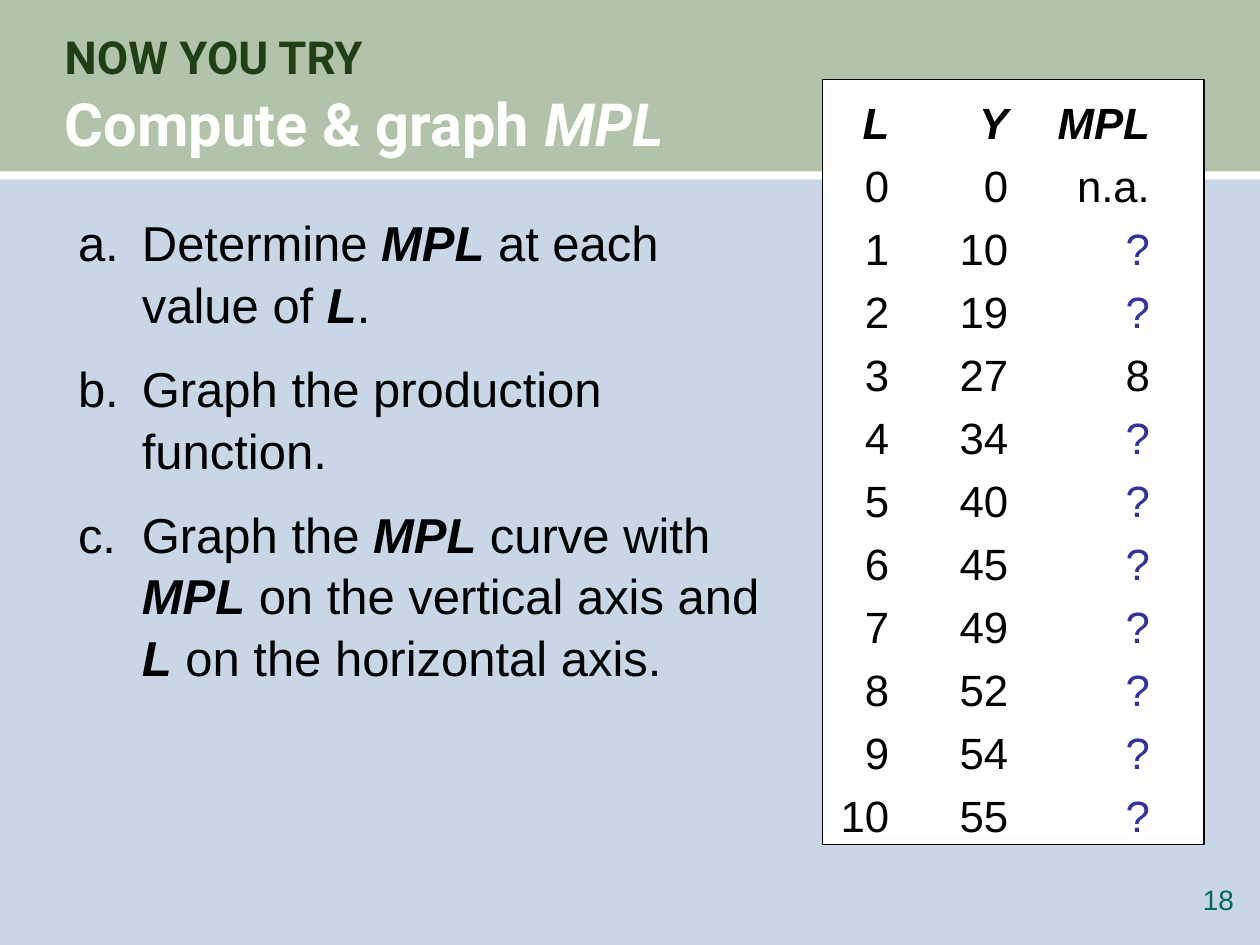
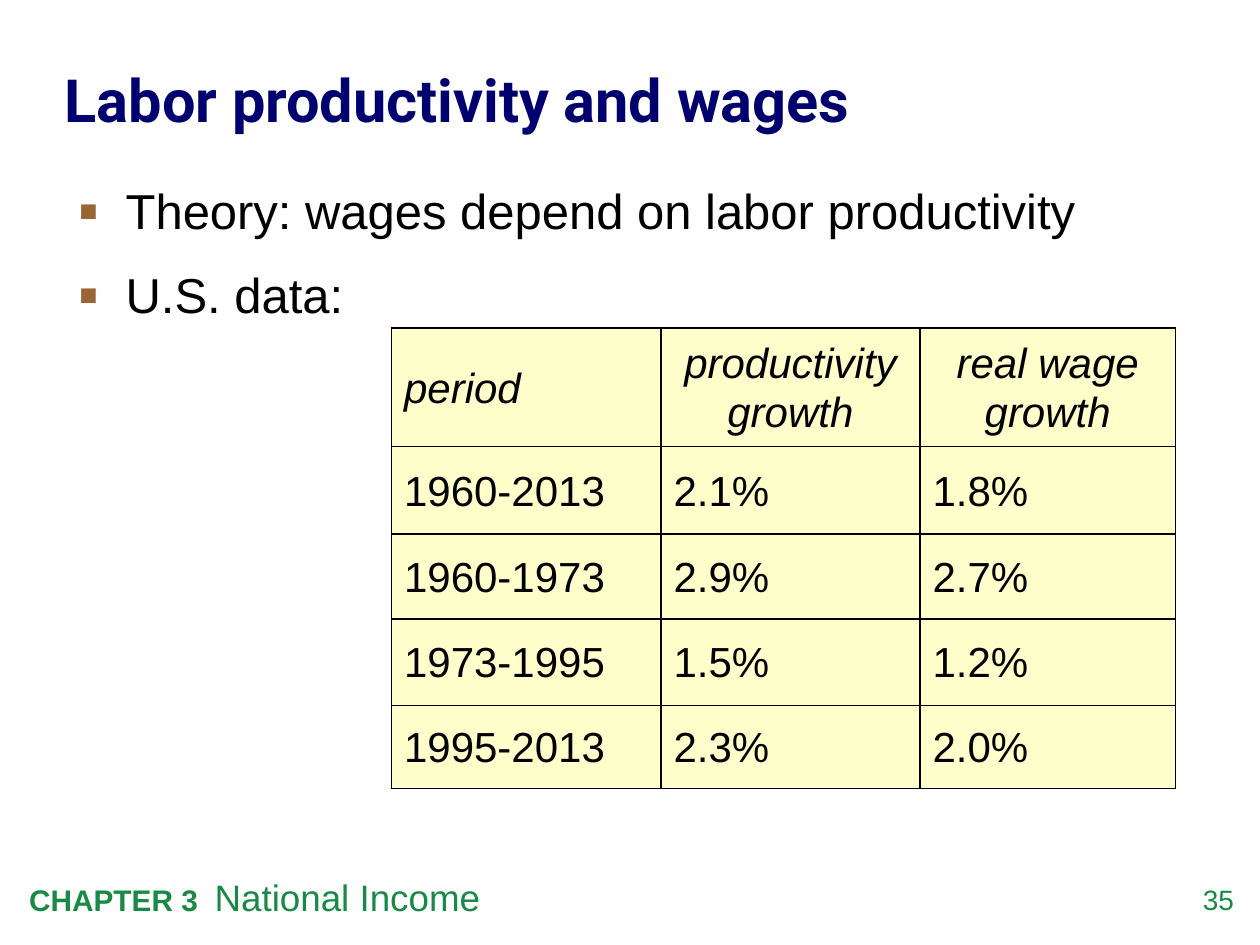
"""Build two economics slides: an MPL exercise and a productivity and wages table."""
from dataclasses import dataclass

from lxml import etree
from pptx import Presentation
from pptx.dml.color import RGBColor
from pptx.enum.shapes import MSO_SHAPE
from pptx.enum.text import MSO_ANCHOR, MSO_AUTO_SIZE, PP_ALIGN
from pptx.oxml.ns import qn
from pptx.util import Pt

RECT = MSO_SHAPE.RECTANGLE
TOP, MIDDLE = MSO_ANCHOR.TOP, MSO_ANCHOR.MIDDLE
NO_FIT = MSO_AUTO_SIZE.NONE
LEFT, CENTER, RIGHT = PP_ALIGN.LEFT, PP_ALIGN.CENTER, PP_ALIGN.RIGHT


@dataclass(frozen=True)
class Theme:
    heading: str = "Roboto"
    text: str = "Arial"
    black: str = "000000"
    white: str = "FFFFFF"
    sky: str = "C9D6E5"
    sage: str = "B3C2AA"
    forest: str = "203F15"
    navy: str = "00006E"
    teal: str = "006666"
    green: str = "198A46"
    indigo: str = "333399"
    brown: str = "996633"
    cream: str = "FFFFCC"
    title_pt: int = 34
    kicker_pt: int = 26
    body_pt: int = 28
    data_pt: int = 25
    table_pt: int = 24
    number_pt: int = 16
    chapter_pt: int = 17
    topic_pt: int = 21
    line_spacing: float = 1.05
    data_spacing: float = 1.2


T = Theme()


def add_runs(p, text, size, color, font=T.text, bold=False, emphasis_bold=True):
    """Add text to a paragraph; *marks* emphasise and a newline breaks the line."""
    for i, part in enumerate(text.split("*")):
        for j, line in enumerate(part.split("\n")):
            if j:
                p.add_line_break()
            if line:
                r = p.add_run()
                r.text = line
                r.font.name = font
                r.font.size = Pt(size)
                r.font.color.rgb = RGBColor.from_string(color)
                r.font.bold = bold or (i % 2 == 1 and emphasis_bold)
                r.font.italic = i % 2 == 1


def add_box(s, left, top, width, height, fill=None, inset=True):
    """Add a text box, or a filled rectangle when a fill is given."""
    box = [Pt(v) for v in (left, top, width, height)]
    if fill:
        sp = s.shapes.add_shape(RECT, *box)
        sp.shadow.inherit = False
        sp.fill.solid()
        sp.fill.fore_color.rgb = RGBColor.from_string(fill)
        sp.line.fill.background()
    else:
        sp = s.shapes.add_textbox(*box)
    tf = sp.text_frame
    tf.word_wrap = True
    tf.vertical_anchor = TOP
    if not inset:
        tf.margin_left = tf.margin_top = tf.margin_right = tf.margin_bottom = 0
    return sp


prs = Presentation()
prs.slide_width, prs.slide_height = Pt(720), Pt(540)

slides = []
for background, title_top, number, number_color, title_parts in (
    (T.sky, 16, "18", T.teal,
     [("NOW YOU TRY\n", T.kicker_pt, T.forest),
      ("Compute & graph *MPL*", T.title_pt, T.white)]),
    (T.white, 18.5, "35", T.green,
     [("Labor productivity and wages", T.title_pt, T.navy)]),
):
    s = prs.slides.add_slide(prs.slide_layouts[5])
    slides.append(s)
    s.background.fill.solid()
    s.background.fill.fore_color.rgb = RGBColor.from_string(background)

    title = s.shapes.title
    title.left, title.top, title.width, title.height = Pt(37), Pt(title_top), Pt(649), Pt(74)
    tf = title.text_frame
    tf.auto_size = NO_FIT
    tf.word_wrap = True
    tf.vertical_anchor = MIDDLE
    tf.margin_left = tf.margin_top = tf.margin_right = tf.margin_bottom = 0
    p = tf.paragraphs[0]
    p.alignment = LEFT
    p.line_spacing = T.line_spacing
    for text, size, color in title_parts:
        add_runs(p, text, size, color, T.heading, bold=True)

    p = add_box(s, 665, 504.5, 40, 23, inset=False).text_frame.paragraphs[0]
    p.alignment = RIGHT
    add_runs(p, number, T.number_pt, number_color)

exercise, wages = slides

add_box(exercise, 0, -1, 720, 102, T.sage)
add_box(exercise, 0, 98, 720, 4.5, T.white)
title = exercise.shapes.title.element
title.getparent().append(title)

p = add_box(wages, 9.5, 496.5, 589, 32).text_frame.paragraphs[0]
add_runs(p, "CHAPTER 3  ", T.chapter_pt, T.green, bold=True)
add_runs(p, "National Income", T.topic_pt, T.green)

questions = [
    "a.\tDetermine *MPL* at each \nvalue of *L*.",
    "b.\tGraph the production \nfunction.",
    "c.\tGraph the *MPL* curve with \n*MPL* on the vertical axis and \n*L* on the horizontal axis.",
]
points = ["Theory: wages depend on labor productivity", "U.S. data:"]
for s, top, height, indent, bulleted, items in (
    (exercise, 116.5, 366, 36.5, False, questions),
    (wages, 98, 384.5, 27.2, True, points),
):
    tf = add_box(s, 37.5, top, 646.5, height).text_frame
    for i, item in enumerate(items):
        p = tf.paragraphs[0] if i == 0 else tf.add_paragraph()
        pPr = p._p.get_or_add_pPr()
        pPr.set("marL", str(Pt(indent)))
        pPr.set("indent", str(-Pt(indent)))
        if bulleted:
            color = etree.SubElement(pPr, qn("a:buClr"))
            etree.SubElement(color, qn("a:srgbClr"), val=T.brown)
            etree.SubElement(pPr, qn("a:buSzPct"), val="120000")
            etree.SubElement(pPr, qn("a:buFont"), typeface=T.text)
            etree.SubElement(pPr, qn("a:buChar"), char="▪")
        p.line_spacing = T.line_spacing
        if i:
            p.space_before = Pt(12.6)
        add_runs(p, item, T.body_pt, T.black)

outputs = [0, 10, 19, 27, 34, 40, 45, 49, 52, 54, 55]
known_mpl = {0: "n.a.", 3: "8"}
rows = [("*\tL\tY\t*", "*MPL*")]
rows += [(f"\t{labor}\t{output}\t", known_mpl.get(labor, "?"))
         for labor, output in enumerate(outputs)]

panel = add_box(exercise, 470, 45.5, 218, 437, T.white)
panel.line.color.rgb = RGBColor.from_string(T.black)
panel.line.width = Pt(0.75)
tf = panel.text_frame
for i, (inputs, mpl) in enumerate(rows):
    p = tf.paragraphs[0] if i == 0 else tf.add_paragraph()
    tabs = etree.SubElement(p._p.get_or_add_pPr(), qn("a:tabLst"))
    for stop in (31, 99, 180):
        etree.SubElement(tabs, qn("a:tab"), pos=str(Pt(stop)), algn="r")
    p.alignment = LEFT
    p.line_spacing = T.data_spacing
    add_runs(p, inputs, T.data_pt, T.black)
    add_runs(p, mpl, T.data_pt, T.indigo if mpl == "?" else T.black)

growth = [
    ("*period*", "*productivity growth*", "*real wage growth*"),
    ("1960-2013", "2.1%", "1.8%"),
    ("1960-1973", "2.9%", "2.7%"),
    ("1973-1995", "1.5%", "1.2%"),
    ("1995-2013", "2.3%", "2.0%"),
]
table = wages.shapes.add_table(5, 3, Pt(223.7), Pt(187.5), Pt(448), Pt(263)).table
table.first_row = table.horz_banding = False
for column, width in zip(table.columns, (154, 148, 146)):
    column.width = Pt(width)
for row, height in zip(table.rows, (67.5, 50, 48.5, 49.5, 47.5)):
    row.height = Pt(height)
for i, values in enumerate(growth):
    for j, value in enumerate(values):
        cell = table.cell(i, j)
        cell.vertical_anchor = MIDDLE
        tcPr = cell._tc.get_or_add_tcPr()
        for side in ("lnL", "lnR", "lnT", "lnB"):
            border = etree.SubElement(tcPr, qn(f"a:{side}"), w=str(Pt(1)))
            fill = etree.SubElement(border, qn("a:solidFill"))
            etree.SubElement(fill, qn("a:srgbClr"), val=T.black)
        cell.fill.solid()
        cell.fill.fore_color.rgb = RGBColor.from_string(T.cream)
        p = cell.text_frame.paragraphs[0]
        p.alignment = CENTER if i == 0 and j else LEFT
        p.line_spacing = T.line_spacing
        add_runs(p, value, T.table_pt, T.black, emphasis_bold=False)

prs.save("out.pptx")
